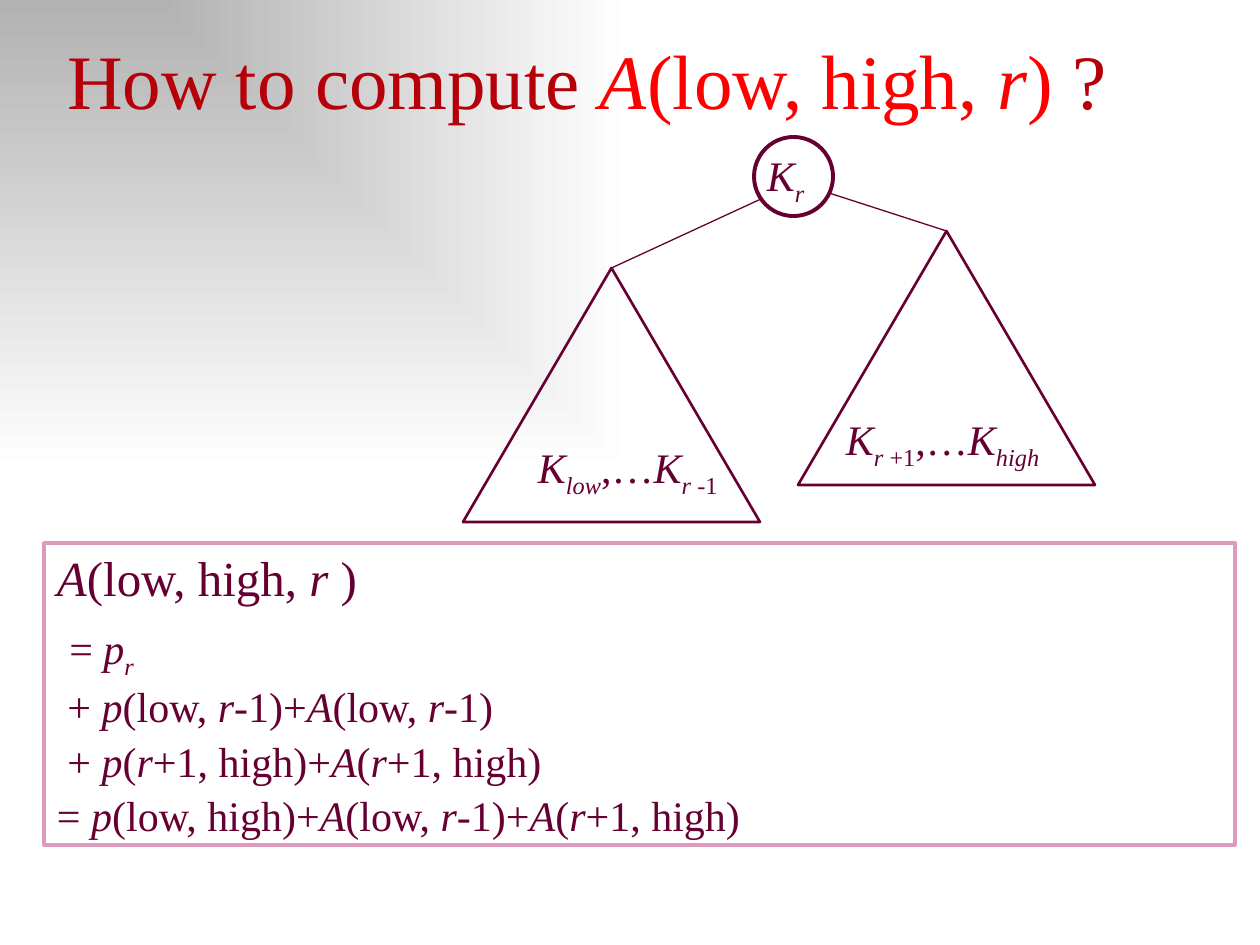
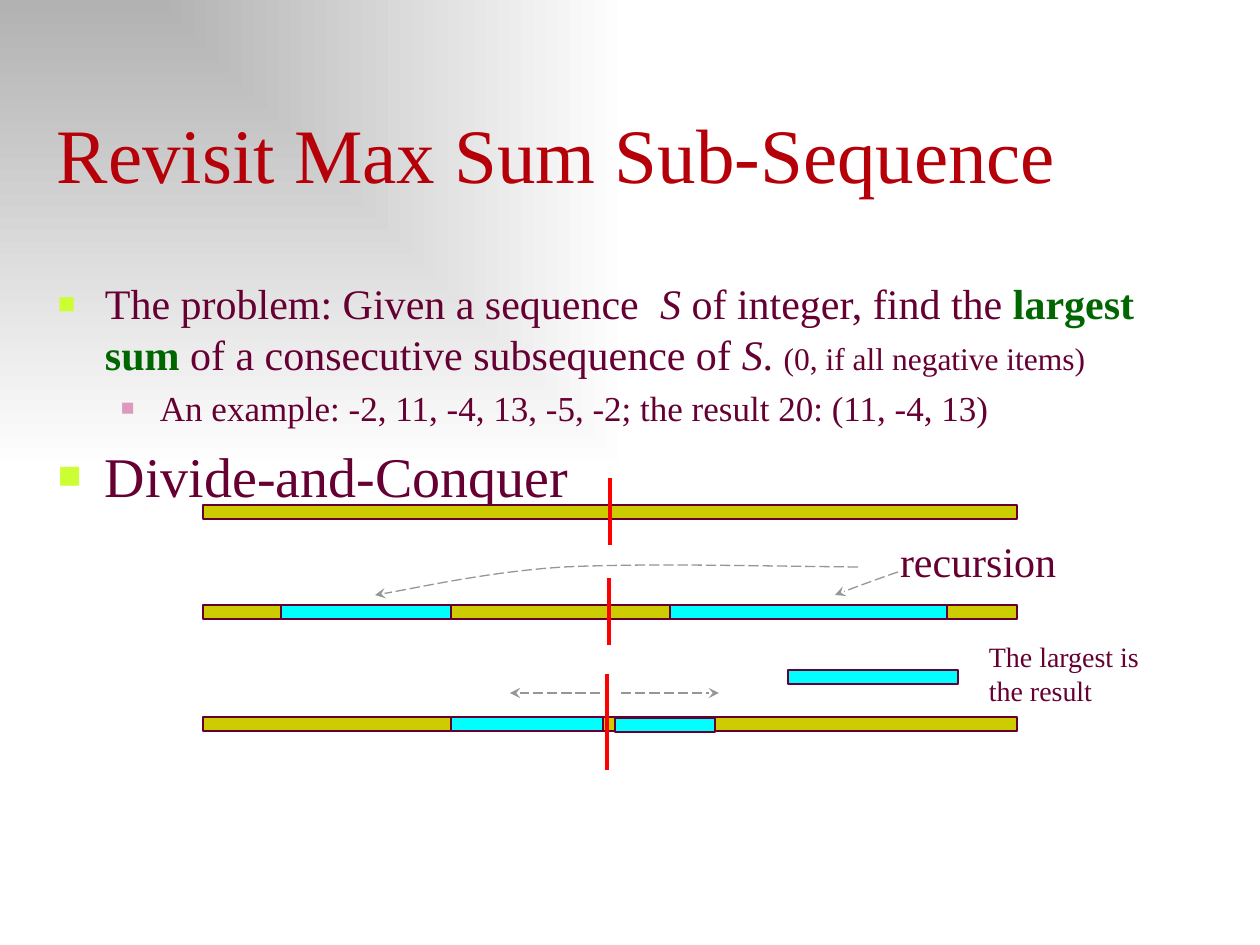
"""Build two algorithm slides: weighted search trees and maximum sum sub-sequence."""
from lxml.etree import SubElement
from pptx import Presentation
from pptx.dml.color import RGBColor
from pptx.enum.dml import MSO_LINE
from pptx.enum.shapes import MSO_CONNECTOR, MSO_SHAPE
from pptx.enum.text import MSO_ANCHOR
from pptx.oxml.ns import qn
from pptx.util import Pt

SCALE = 914400 / 126
FONT = "Times New Roman"
PLUM, CRIMSON, RED, GREEN = "660033", "B60009", "FF0000", "006600"
LIME, PINK, OLIVE, CYAN = "CCFF33", "DE9ABC", "CCCC00", "00FFFF"
GRAY, SILVER, WHITE = "969696", "B2B2B2", "FFFFFF"

# In texts, * switches italics and _ switches subscript.
TREE_TITLE = [("How to compute ", {}), ("*A*(low, high, *r*)", {"color": RED}), (" ?", {})]
COST_LINES = [
    {"runs": [("*A*(low, high, *r *)", {"size": 28})]},
    {"runs": [(" ", {"size": 28}), ("= *p_r_*", {})], "before": 6.5},
    {"runs": " + *p*(low, *r*-1)+*A*(low, *r*-1)", "before": 5.5},
    {"runs": " + *p*(*r*+1, high)+*A*(*r*+1, high)", "before": 5.5},
    {"runs": "= *p*(low, high)+*A*(low, *r*-1)+*A*(*r*+1, high)", "before": 5.5},
]
COST_BOX = (44, 543, 1191, 302)
ROOT = (754, 137, 79, 79)
TREE_LABELS = [
    ((754, 144, 100, 63), "*K_r_*"),
    ((525, 436, 229, 63), "*K_low_*,…*K_r _*_-1_"),
    ((833, 408, 242, 63), "*K_r _*_+1_,…*K_high_*"),
]
TREE_SIZE = (297, 254)
SUBTREES = [((463, 268), (761, 199)), ((798, 231), (829, 193))]

SEQUENCE_TITLE = "Revisit Max Sum Sub-Sequence"
MAIN = {"color": LIME, "percent": 70, "left": 47, "hang": 47}
SUB = {"color": PINK, "percent": 65, "left": 102, "hang": 39}
BODY = [
    {"runs": [("The problem: Given a sequence  *S *of integer, find the ", {}),
              ("largest sum", {"color": GREEN, "bold": True}),
              (" of a consecutive subsequence of *S*. ", {}),
              ("(0, if all negative items)", {"size": 18})], "bullet": MAIN},
    {"runs": [("An example: -2, 11, -4, 13, -5, -2; the result 20: (11, -4, 13)", {"size": 20})],
     "bullet": SUB, "level": 1, "before": 4.6},
    {"runs": [("Divide-and-Conquer", {"size": 32})], "bullet": MAIN, "before": 7.4},
]
BODY_BOX = (45, 267, 1131, 567)
BAR_LEFT, BAR_WIDTH, BAR_HEIGHT = 203, 814, 14
BAR_TOPS = [505, 605, 717]
PARTS = [(281, 605, 170), (670, 605, 277), (451, 717, 152), (615, 718, 100), (788, 670, 170)]
MIDLINES = [(610, 478, 545), (609, 578, 645), (607, 674, 770)]
CURVES = [
    [(898, 572), (872, 581), (845, 591), (835, 595)],
    [(858, 567), (751, 566), (644, 563), (563, 567), (483, 572), (408, 590), (375, 595)],
]
SPREAD = [((600, 693), (510, 693)), ((621, 693), (719, 693))]
SEQUENCE_LABELS = [((887, 530, 268, 63), "recursion", 24),
                   ((976, 634, 179, 81), "The largest is the result", 16)]


def px(n):
    return round(n * SCALE)


def rgb(value):
    return RGBColor.from_string(value)


def marked(text):
    """Yield (piece, italic, subscript) for a marked string."""
    italic = sub = False
    piece = ""
    for ch in text + "*":
        if ch not in "*_":
            piece += ch
            continue
        if piece:
            yield piece, italic, sub
        piece = ""
        if ch == "*":
            italic = not italic
        else:
            sub = not sub


def add_bullet(p, color, percent, left, hang):
    pPr = p._p.get_or_add_pPr()
    pPr.set("marL", str(px(left)))
    pPr.set("indent", str(-px(hang)))
    SubElement(SubElement(pPr, qn("a:buClr")), qn("a:srgbClr"), val=color)
    SubElement(pPr, qn("a:buSzPct"), val=str(percent * 1000))
    SubElement(pPr, qn("a:buFont"), typeface=FONT)
    SubElement(pPr, qn("a:buChar"), char="■")


def write(sp, paragraphs, size=24, color=PLUM, anchor=MSO_ANCHOR.TOP, spacing=None, top=6):
    """Fill a shape with formatted paragraphs."""
    tf = sp.text_frame
    tf.word_wrap = True
    tf.vertical_anchor = anchor
    tf.margin_left = tf.margin_right = px(13)
    tf.margin_top, tf.margin_bottom = px(top), px(6)
    for i, item in enumerate(paragraphs):
        p = tf.add_paragraph() if i else tf.paragraphs[0]
        p.level = item.get("level", 0)
        if spacing:
            p.line_spacing = spacing
        if "before" in item:
            p.space_before = Pt(item["before"])
        if "bullet" in item:
            add_bullet(p, **item["bullet"])
        runs = item["runs"]
        for text, fmt in [(runs, {})] if isinstance(runs, str) else runs:
            for piece, italic, sub in marked(text):
                r = p.add_run()
                r.text = piece
                font = r.font
                font.name, font.size = FONT, Pt(fmt.get("size", size))
                font.bold, font.italic = fmt.get("bold", False), italic
                font.color.rgb = rgb(fmt.get("color", color))
                if sub:
                    r._r.get_or_add_rPr().set("baseline", "-25000")


def add_text(slide, box, paragraphs, **fmt):
    sp = slide.shapes.add_textbox(*map(px, box))
    write(sp, paragraphs, **fmt)


def add_title(slide, left, top, runs):
    add_text(slide, (left, top, 1191, 105), [{"runs": runs}],
             size=44, color=CRIMSON, anchor=MSO_ANCHOR.BOTTOM)


def add_box(slide, kind, box, fill=None, line=PLUM, width=0.75):
    sp = slide.shapes.add_shape(kind, *map(px, box))
    style(sp, fill, line, width)
    return sp


def style(sp, fill, line, width):
    sp.shadow.inherit = False
    if fill:
        sp.fill.solid()
        sp.fill.fore_color.rgb = rgb(fill)
    else:
        sp.fill.background()
    sp.line.color.rgb = rgb(line)
    sp.line.width = Pt(width)


def add_line(slide, start, end, color=PLUM, width=0.75):
    sp = slide.shapes.add_connector(MSO_CONNECTOR.STRAIGHT, *map(px, start + end))
    sp.line.color.rgb = rgb(color)
    sp.line.width = Pt(width)
    SubElement(sp._element.spPr, qn("a:effectLst"))
    return sp


def dash_arrow(sp):
    sp.line.dash_style = MSO_LINE.LONG_DASH
    SubElement(sp.line._get_or_add_ln(), qn("a:tailEnd"), type="stealth")


def curve_points(controls, steps=12):
    """Sample chained cubic curves."""
    points = [controls[0]]
    for k in range(0, len(controls) - 1, 3):
        a, b, c, d = controls[k:k + 4]
        for t in (n / steps for n in range(1, steps + 1)):
            u = 1 - t
            points.append(tuple(u**3 * a[j] + 3 * u * u * t * b[j] + 3 * u * t * t * c[j]
                                + t**3 * d[j] for j in (0, 1)))
    return points


def add_curve(slide, controls):
    start, *rest = [(px(x), px(y)) for x, y in curve_points(controls)]
    builder = slide.shapes.build_freeform(*start)
    builder.add_line_segments(rest, close=False)
    sp = builder.convert_to_shape()
    style(sp, None, GRAY, 0.75)
    dash_arrow(sp)


def set_background(master):
    master.background.fill.gradient()
    grad = next(master.element.iter(qn("a:gradFill")))
    for child in list(grad):
        grad.remove(child)
    stops = SubElement(grad, qn("a:gsLst"))
    for pos, color in (("0", SILVER), ("100000", WHITE)):
        SubElement(SubElement(stops, qn("a:gs"), pos=pos), qn("a:srgbClr"), val=color)
    focus = SubElement(grad, qn("a:path"), path="rect")
    SubElement(focus, qn("a:fillToRect"), r="100000", b="100000")


def build_tree_slide(slide):
    write(add_box(slide, MSO_SHAPE.RECTANGLE, COST_BOX, WHITE, PINK, 2),
          COST_LINES, spacing=0.9, top=11)
    for p in slide.shapes[0].text_frame.paragraphs:
        p._p.get_or_add_pPr().set("algn", "l")
    add_title(slide, 54, 26, TREE_TITLE)
    add_box(slide, MSO_SHAPE.OVAL, ROOT, width=2.25)
    for corner, start in SUBTREES:
        subtree = add_box(slide, MSO_SHAPE.ISOSCELES_TRIANGLE, corner + TREE_SIZE, width=1.5)
        add_line(slide, start, corner).end_connect(subtree, 0)
    for box, label in TREE_LABELS:
        add_text(slide, box, [{"runs": label}])


def build_sequence_slide(slide):
    add_title(slide, 44, 100, SEQUENCE_TITLE)
    add_text(slide, BODY_BOX, BODY, top=11)
    bars = [(BAR_LEFT, top, BAR_WIDTH, OLIVE) for top in BAR_TOPS]
    for left, top, width, fill in bars + [part + (CYAN,) for part in PARTS]:
        add_box(slide, MSO_SHAPE.RECTANGLE, (left, top, width, BAR_HEIGHT), fill)
    for x, top, bottom in MIDLINES:
        add_line(slide, (x, top), (x, bottom), RED, 2.25)
    for controls in CURVES:
        add_curve(slide, controls)
    for start, end in SPREAD:
        dash_arrow(add_line(slide, start, end, GRAY))
    for box, label, size in SEQUENCE_LABELS:
        add_text(slide, box, [{"runs": label}], size=size)


def main():
    prs = Presentation()
    prs.slide_width, prs.slide_height = px(1260), px(945)
    set_background(prs.slide_master)
    for build in (build_tree_slide, build_sequence_slide):
        build(prs.slides.add_slide(prs.slide_layouts[6]))
    prs.save("out.pptx")


if __name__ == "__main__":
    main()
